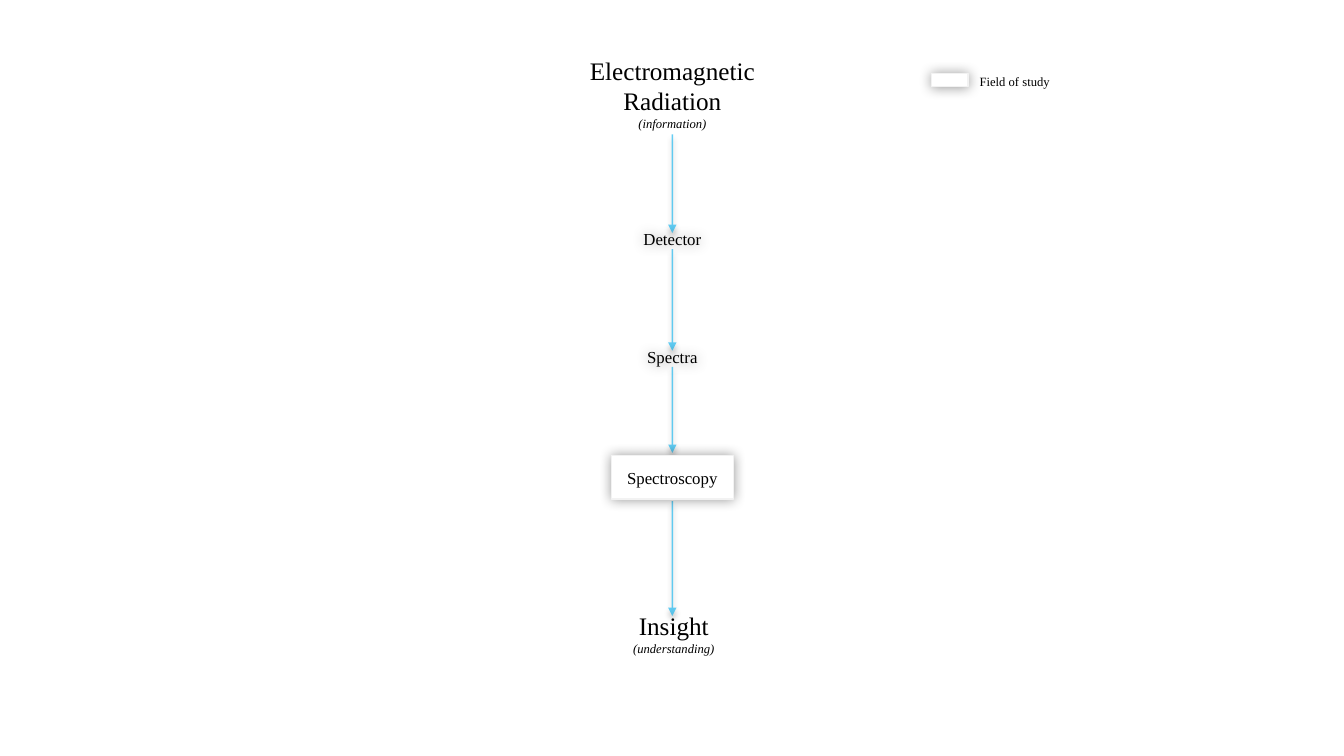
from lxml import etree
from pptx import Presentation
from pptx.dml.color import RGBColor
from pptx.enum.shapes import MSO_CONNECTOR, MSO_SHAPE
from pptx.enum.text import MSO_ANCHOR, PP_ALIGN
from pptx.oxml.ns import qn
from pptx.util import Pt

RECTANGLE = MSO_SHAPE.RECTANGLE
STRAIGHT = MSO_CONNECTOR.STRAIGHT
MIDDLE = MSO_ANCHOR.MIDDLE
TOP = MSO_ANCHOR.TOP
CENTER = PP_ALIGN.CENTER
FONT = "Times New Roman"
BLANK_LAYOUT = 6
STEP_WIDTH, STEP_HEIGHT = 87, 31


def color(hex_code):
    return RGBColor.from_string(hex_code)


def add_alpha(color_element, percent):
    etree.SubElement(color_element, qn("a:alpha"), val=str(percent * 1000))


def add_shadow(shape, blur, distance=0, angle=0):
    effects = etree.SubElement(shape.element.spPr, qn("a:effectLst"))
    shadow = etree.SubElement(
        effects, qn("a:outerShdw"), blurRad=str(Pt(blur)), dist=str(Pt(distance)),
        dir=str(angle * 60000), algn="ctr", rotWithShape="0")
    tint = etree.SubElement(shadow, qn("a:srgbClr"), val="000000")
    add_alpha(tint, 40)


def write(shape, lines, anchor):
    frame = shape.text_frame
    frame.word_wrap = True
    frame.vertical_anchor = anchor
    for index, (text, size, italic) in enumerate(lines):
        para = frame.add_paragraph() if index else frame.paragraphs[0]
        para.text = text
        para.alignment = CENTER
        para.font.name = FONT
        para.font.size = Pt(size)
        para.font.italic = italic
        para.font.color.rgb = color("000000")


def add_label(page, left, top, width, height, lines, anchor=TOP):
    label = page.shapes.add_textbox(Pt(left), Pt(top), Pt(width), Pt(height))
    write(label, lines, anchor)
    return label


def add_card(page, left, top, width, height):
    card = page.shapes.add_shape(RECTANGLE, Pt(left), Pt(top), Pt(width), Pt(height))
    card.fill.solid()
    card.fill.fore_color.rgb = color("FFFFFF")
    card.line.color.rgb = color("F2F2F2")
    card.line.width = Pt(1)
    add_shadow(card, 9)
    return card


def add_arrow(page, x, start, end):
    arrow = page.shapes.add_connector(STRAIGHT, Pt(x), Pt(start), Pt(x), Pt(end))
    arrow.line.color.rgb = color("00B0F0")
    arrow.line.width = Pt(1)
    outline = arrow.element.spPr.find(qn("a:ln"))
    add_alpha(outline.find(".//" + qn("a:srgbClr")), 60)
    etree.SubElement(outline, qn("a:tailEnd"), type="triangle")
    add_shadow(arrow, 4, 3, 90)


def draw_flow(page, left, top, width):
    axis = left + width / 2
    step_left = axis - STEP_WIDTH / 2

    for start, end in ((60, 130.5), (142, 214.5), (226, 287.5), (322, 404)):
        add_arrow(page, axis, top + start, top + end)

    for offset, height, name, note, shift in (
            (0, 62, "Electromagnetic Radiation", "(information)", 0),
            (396.5, 40.5, "Insight", "(understanding)", 1)):
        add_label(page, left + shift, top + offset, width, height,
                  [(name, 18, False), (note, 9, True)])

    for offset, name in ((119, "Detector"), (203.5, "Spectra")):
        step = add_label(page, step_left, top + offset, STEP_WIDTH, STEP_HEIGHT,
                         [(name, 12, False)], MIDDLE)
        add_shadow(step, 9)

    field = add_card(page, step_left, top + 289.5, STEP_WIDTH, STEP_HEIGHT)
    write(field, [("Spectroscopy", 12, False)], MIDDLE)


def draw_legend(page, left, top, width, height):
    add_card(page, left + 16, top + 3.5, 26, 9.5)
    add_label(page, left, top, width, height, [("Field of study", 9, False)])


deck = Presentation()
deck.slide_width, deck.slide_height = Pt(960), Pt(540)
page = deck.slides.add_slide(deck.slide_layouts[BLANK_LAYOUT])
draw_flow(page, left=405, top=36, width=150.5)
draw_legend(page, left=649.5, top=49, width=150.5, height=18)
deck.save("out.pptx")
